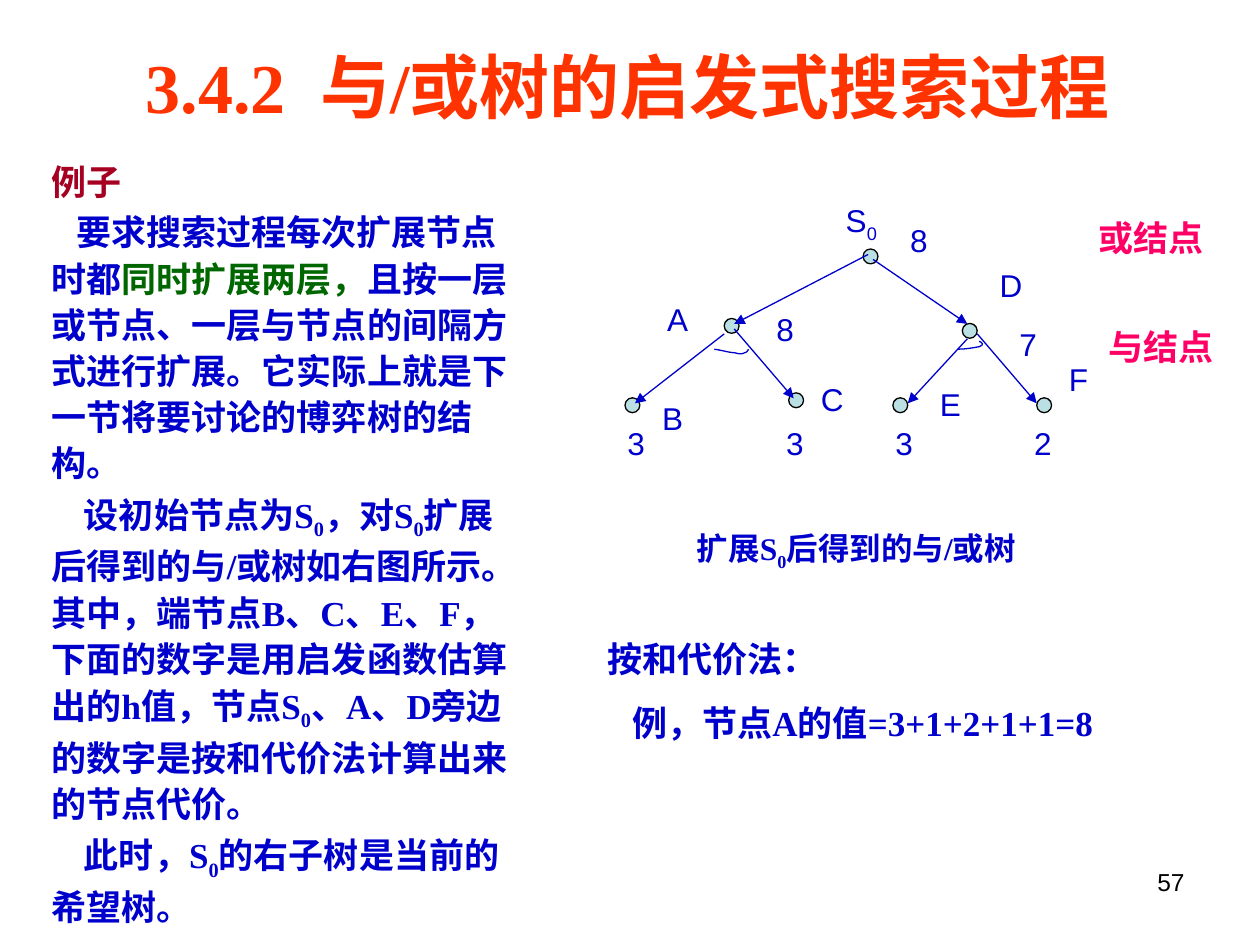
import pptx
import pptx.dml.color
import pptx.enum.shapes
import pptx.enum.text
import pptx.oxml
import pptx.oxml.ns
import pptx.util
from pptx.util import Cm, Pt

BLUE, GREEN, DARK_RED = "0000CC", "006600", "A50021"
ORANGE, PINK, BLACK, NODE_FILL = "FF3300", "FF0066", "000000", "BBE0E3"
SERIF, SANS = "Times New Roman", "Arial"
ALIGN = pptx.enum.text.PP_ALIGN

# Paragraphs are (first-line indent in points, [(colour, text), ...]); "_" lowers the next character
TITLE = [(0, [(ORANGE, "3.4.2"), (ORANGE, " "), (ORANGE, "与/或树的启发式搜索过程")])]
EXPLANATION = [
    (0, [(DARK_RED, "例子")]),
    (14, [(BLUE, "要求搜索过程每次扩展节点时都"), (GREEN, "同时扩展两层，"),
          (BLUE, "且按一层或节点、一层与节点的间隔方式进行扩展。它实际上就是下一节将要讨论的博弈树的结构。")]),
    (18.5, [(BLUE, "设初始节点为S_0，对S_0扩展后得到的与/或树如右图所示。其中，端节点B、C、E、F，"
                   "下面的数字是用启发函数估算出的h值，节点S_0、A、D旁边的数字是按和代价法计算出来的节点代价。")]),
    (18.5, [(BLUE, "此时，S_0的右子树是当前的希望树。")]),
]
COST_METHOD = [
    (0, [(BLUE, "按和代价法：")]),
    (14, [(BLUE, "例，节点A的值=3+1+2+1+1=8")]),
]

# Name, node centre, name position, cost, cost position (cm)
NODES = [
    ("S_0", (17.55, 5.17), (16.8, 3.93), "8", (18.1, 4.32)),
    ("A", (14.75, 6.57), (13.2, 5.92), "8", (15.4, 6.12)),
    ("D", (19.55, 6.67), (19.9, 5.23), "7", (20.3, 6.43)),
    ("B", (12.75, 8.17), (13.1, 7.92), "3", (12.4, 8.42)),
    ("C", (16.05, 8.07), (16.3, 7.53), "3", (15.6, 8.42)),
    ("E", (18.15, 8.17), (18.7, 7.63), "3", (17.8, 8.42)),
    ("F", (21.05, 8.17), (21.3, 7.13), "2", (20.6, 8.42)),
]
NODE_SIZE = 0.3
EDGES = [
    ((17.5, 5.13), (14.8, 6.53)),
    ((17.6, 5.23), (19.5, 6.53)),
    ((14.6, 6.73), (12.8, 8.13)),
    ((14.8, 6.63), (16.0, 8.03)),
    ((19.5, 6.83), (18.3, 8.13)),
    ((19.7, 6.73), (20.9, 8.13)),
]
# Bezier control points of the arcs that mark "and" branches
AND_ARCS = [
    [(14.4, 7.04), (14.55, 7.06), (14.71, 7.11), (14.81, 7.11), (14.91, 7.14),
     (14.96, 7.14), (15.01, 7.11), (15.06, 7.11), (15.09, 7.04), (15.09, 7.04)],
    [(19.3, 7.04), (19.48, 7.04), (19.63, 7.01), (19.74, 6.99),
     (19.81, 6.96), (19.84, 6.93), (19.74, 6.88)],
]

presentation = pptx.Presentation()
presentation.slide_width, presentation.slide_height = Cm(25.4), Cm(19.05)
slide = presentation.slides.add_slide(presentation.slide_layouts[6])


def rgb(colour):
    return pptx.dml.color.RGBColor.from_string(colour)


def add_runs(paragraph, text, colour=None):
    for index, piece in enumerate(text.split("_")):
        parts = [(piece, False)] if index == 0 else [(piece[:1], True), (piece[1:], False)]
        for content, lowered in parts:
            if not content:
                continue
            run = paragraph.add_run()
            run.text = content
            if colour:
                run.font.color.rgb = rgb(colour)
            if lowered:
                run._r.get_or_add_rPr().set("baseline", "-25000")


def add_text(box, paragraphs, size, font=SERIF, bold=True, align=ALIGN.LEFT,
             before=0, spacing=None, insets=(0.25, 0.13)):
    frame = slide.shapes.add_textbox(*map(Cm, box)).text_frame
    frame.word_wrap = True
    frame.margin_left = frame.margin_right = Cm(insets[0])
    frame.margin_top = frame.margin_bottom = Cm(insets[1])
    for index, (indent, pieces) in enumerate(paragraphs):
        paragraph = frame.add_paragraph() if index else frame.paragraphs[0]
        paragraph.alignment = align
        # Punctuation stays inside the right margin
        properties = paragraph._p.get_or_add_pPr()
        properties.set("hangingPunct", "0")
        if indent:
            properties.set("indent", str(Pt(indent)))
        if index:
            paragraph.space_before = Pt(before)
        if spacing:
            paragraph.line_spacing = spacing
        paragraph.font.name, paragraph.font.size = font, Pt(size)
        paragraph.font.bold = bold
        colours = {colour for colour, _ in pieces}
        if len(colours) == 1:
            paragraph.font.color.rgb = rgb(pieces[0][0])
        for colour, text in pieces:
            add_runs(paragraph, text, colour if len(colours) > 1 else None)
    return frame


def add_line_text(box, text, size, colour, **options):
    add_text(box, [(0, [(colour, text)])], size, **options)


def set_line(shape, colour):
    shape.line.color.rgb = rgb(colour)
    shape.line.width = Pt(0.75)


def bezier_points(controls, steps=8):
    for start in range(0, len(controls) - 1, 3):
        p0, p1, p2, p3 = controls[start:start + 4]
        for step in range(1, steps + 1):
            t = step / steps
            yield tuple(Cm((1 - t) ** 3 * a + 3 * t * (1 - t) ** 2 * b + 3 * t * t * (1 - t) * c + t ** 3 * d)
                        for a, b, c, d in zip(p0, p1, p2, p3))


# Title, with a widened gap after the number, and explanation
title = add_text((1.3, 0.75, 22.7, 1.96), TITLE, 40, align=ALIGN.CENTER)
title.paragraphs[0].runs[1]._r.get_or_add_rPr().set("spc", "1000")
add_text((0.79, 3.02, 10, 15.8), EXPLANATION, 20, before=2.5, spacing=1.1)

# Tree nodes with names and costs
for name, (x, y), name_at, cost, cost_at in NODES:
    node = slide.shapes.add_shape(pptx.enum.shapes.MSO_SHAPE.OVAL, Cm(x - NODE_SIZE / 2),
                                  Cm(y - NODE_SIZE / 2), Cm(NODE_SIZE), Cm(NODE_SIZE))
    node.shadow.inherit = False
    node.fill.solid()
    node.fill.fore_color.rgb = rgb(NODE_FILL)
    set_line(node, BLACK)
    for text, position in ((name, name_at), (cost, cost_at)):
        width = 1.4 if "_" in text else 1
        add_line_text((*position, width, 1.02), text, 18, BLUE, font=SANS, bold=False)

# Tree edges with arrowheads
for start, end in EDGES:
    edge = slide.shapes.add_connector(pptx.enum.shapes.MSO_CONNECTOR.STRAIGHT, *map(Cm, start + end))
    set_line(edge, BLUE)
    arrowhead = pptx.oxml.ns.qn("a:tailEnd")
    edge.line._get_or_add_ln().append(edge._element.makeelement(arrowhead, {"type": "triangle"}))
    edge._element.spPr.append(edge._element.makeelement(pptx.oxml.ns.qn("a:effectLst"), {}))

# Arcs across "and" branches
for controls in AND_ARCS:
    builder = slide.shapes.build_freeform(*map(Cm, controls[0]))
    builder.add_line_segments(list(bezier_points(controls)), close=False)
    arc = builder.convert_to_shape()
    arc.shadow.inherit = False
    arc.fill.background()
    set_line(arc, BLUE)

# Caption, cost method, branch labels and page number
add_line_text((13.8, 10.54, 7.9, 1.12), "扩展S_0后得到的与/或树", 18, BLUE)
add_text((12, 12.73, 11.8, 2.38), COST_METHOD, 20, before=12.5)
add_line_text((22.1, 4.34, 2.3, 0.91), "或结点", 20, PINK, insets=(0.05, 0.03))
add_line_text((22.3, 6.53, 2.3, 0.91), "与结点", 20, PINK, insets=(0.05, 0.03))
add_line_text((18.2, 17.35, 5.93, 1.32), "57", 14, BLACK, font=SANS, bold=False, align=ALIGN.RIGHT)

presentation.save("out.pptx")
